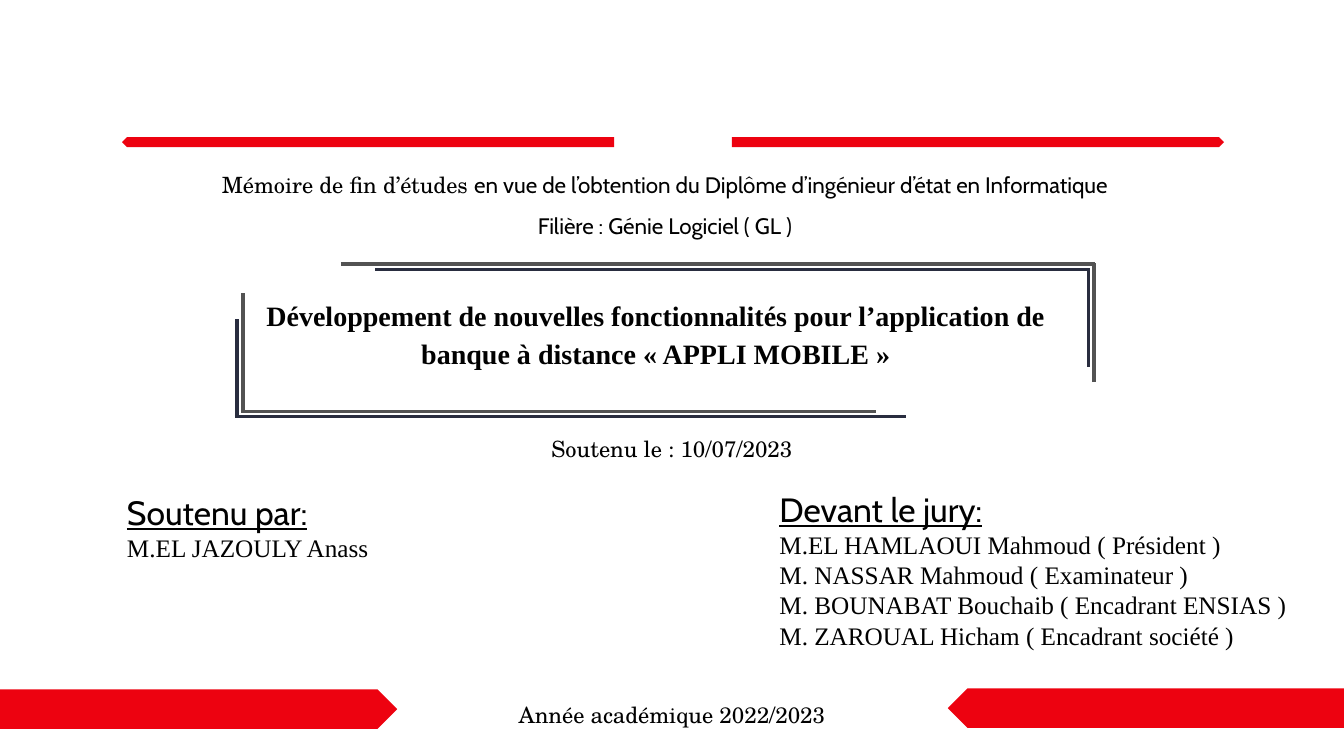
from lxml import etree
from pptx import Presentation
from pptx.dml.color import RGBColor
from pptx.enum import shapes, text
from pptx.oxml import ns
from pptx.util import Inches, Pt

COLORS = {"red": "ED0210", "gray": "535353", "navy": "292D3F", "ink": "010101"}
SCHOLA = {"name": "TeX Gyre Schola", "size": Pt(16)}
CABIN = {"name": "Cabin", "size": Pt(16)}
TITLE = {"name": "Times New Roman", "size": Pt(20), "bold": True}
HEADING = {"name": "Cabin", "size": Pt(24), "underline": True}
PERSON = {"name": "Times New Roman", "size": Pt(18)}
CENTERED = {"alignment": text.PP_ALIGN.CENTER, "line_spacing": 1.5, "space_after": Pt(8)}
TITLE_LAYOUT = {"alignment": text.PP_ALIGN.CENTER, "line_spacing": 1.15, "space_after": Pt(10)}

presentation = Presentation()
presentation.slide_width = Inches(13.33)
presentation.slide_height = Inches(7.5)
slide = presentation.slides.add_slide(presentation.slide_layouts[6])


def add_text(box, paragraphs, layout, margin=None):
    """Add a text box; each paragraph is a list of (wording, font format) runs."""
    frame = slide.shapes.add_textbox(*map(Inches, box)).text_frame
    frame.word_wrap = True
    frame.auto_size = text.MSO_AUTO_SIZE.SHAPE_TO_FIT_TEXT
    if margin is not None:
        for side in ("left", "top", "right", "bottom"):
            setattr(frame, f"margin_{side}", Inches(margin))
    for index, runs in enumerate(paragraphs):
        paragraph = frame.add_paragraph() if index else frame.paragraphs[0]
        for name, value in layout.items():
            setattr(paragraph, name, value)
        for wording, font_format in runs:
            run = paragraph.add_run()
            run.text = wording
            run.font.color.rgb = RGBColor.from_string(COLORS["ink"])
            for name, value in font_format.items():
                setattr(run.font, name, value)


# Degree and title
add_text((1.99, 1.52, 9.21, 0.86), [[
    ("Mémoire de fin d’études ", SCHOLA),
    ("en vue de l’obtention du Diplôme d’ingénieur d’état en Informatique "
     "Filière : Génie Logiciel ( GL )", CABIN),
]], CENTERED)
add_text((2.33, 2.86, 8.35, 0.84), [[
    ("Développement de nouvelles fonctionnalités pour l’application de "
     "banque à distance « APPLI MOBILE »", TITLE),
]], TITLE_LAYOUT)

# Double frame around the title
frame_lines = [
    ("gray", 3.38, 2.62, 10.86, 2.62),
    ("navy", 3.72, 2.67, 10.81, 2.67),
    ("gray", 10.85, 3.79, 10.85, 2.61),
    ("navy", 10.8, 3.64, 10.8, 2.66),
    ("navy", 2.33, 4.13, 8.99, 4.13),
    ("navy", 2.35, 4.14, 2.35, 3.16),
    ("gray", 2.41, 4.09, 2.41, 2.91),
    ("gray", 2.39, 4.08, 8.69, 4.08),
]
for color, *ends in frame_lines:
    line = slide.shapes.add_connector(shapes.MSO_CONNECTOR.STRAIGHT, *map(Inches, ends))
    line.line.color.rgb = RGBColor.from_string(COLORS[color])
    line.line.width = Pt(2.25)
    etree.SubElement(line._element.spPr, ns.qn("a:effectLst"))

# Red bands at the bottom and under the header
bands = [
    (0, 6.84, 3.94, 0.39, 0),
    (9.4, 6.83, 3.94, 0.39, 180),
    (7.26, 1.36, 4.88, 0.1, 0),
    (1.21, 1.36, 4.88, 0.1, 180),
]
for *box, rotation in bands:
    band = slide.shapes.add_shape(shapes.MSO_SHAPE.PENTAGON, *map(Inches, box))
    band.rotation = rotation
    band.shadow.inherit = False
    band.fill.solid()
    band.fill.fore_color.rgb = RGBColor.from_string(COLORS["red"])
    band.line.fill.background()

# Candidate and jury
people = [
    ((1.21, 4.83, 3.43, 0.81), "Soutenu par:", ["M.EL JAZOULY Anass"]),
    ((7.68, 4.8, 5.28, 1.72), "Devant le jury:", [
        "M.EL HAMLAOUI Mahmoud ( Président )",
        "M. NASSAR Mahmoud ( Examinateur )",
        "M. BOUNABAT Bouchaib ( Encadrant ENSIAS )",
        "M. ZAROUAL Hicham ( Encadrant société )",
    ]),
]
for box, heading, names in people:
    add_text(box, [[(heading, HEADING)]] + [[(name, PERSON)] for name in names], {}, 0.05)

# Dates
for top, wording in [(6.77, "Année académique 2022/2023"), (4.13, "Soutenu le : 10/07/2023")]:
    add_text((2.06, top, 9.21, 0.45), [[(wording, SCHOLA)]], CENTERED)

presentation.save("out.pptx")
